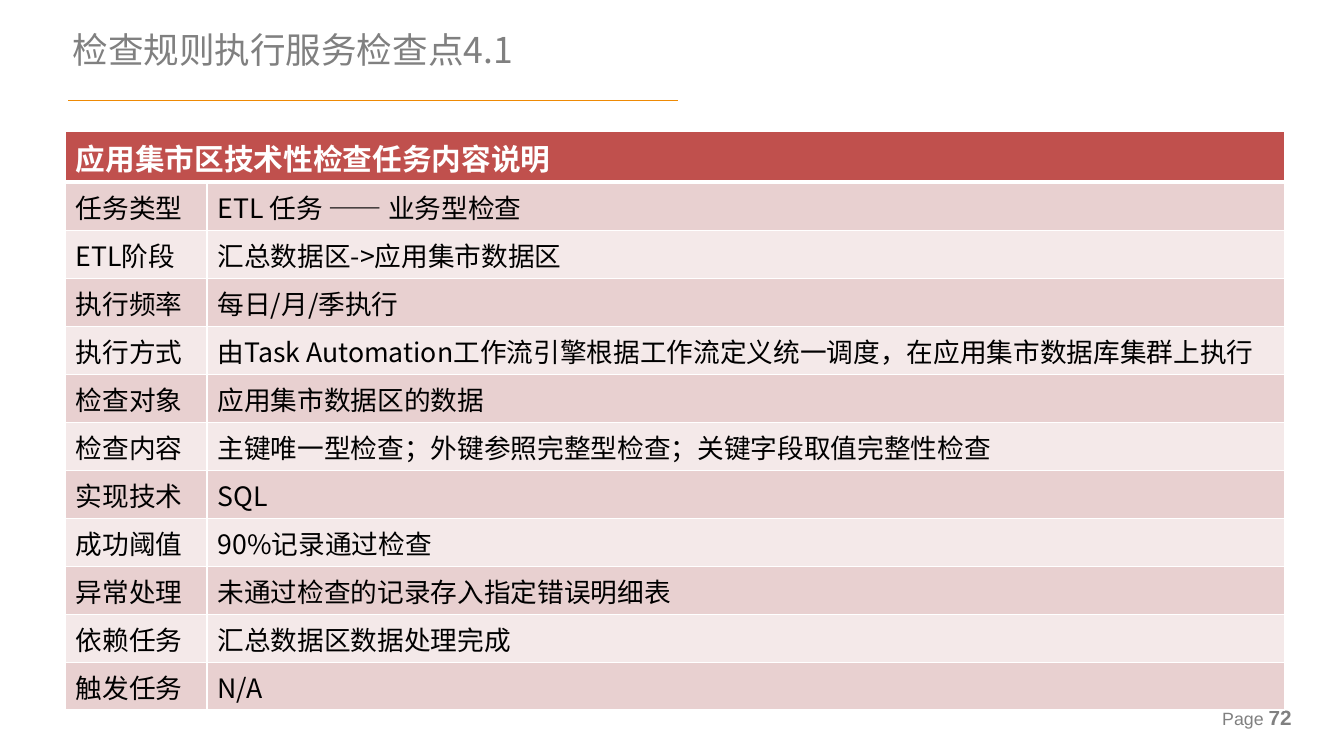
import pptx
import pptx.dml.color
import pptx.enum.shapes
import pptx.enum.text
import pptx.oxml
import pptx.oxml.ns
import pptx.util
from pptx.util import Inches

CJK = "Noto Sans CJK SC"
HEADER = "应用集市区技术性检查任务内容说明"
TASKS = [
    ("任务类型", "ETL 任务 —— 业务型检查"),
    ("ETL阶段", "汇总数据区->应用集市数据区"),
    ("执行频率", "每日/月/季执行"),
    ("执行方式", "由Task Automation工作流引擎根据工作流定义统一调度，在应用集市数据库集群上执行"),
    ("检查对象", "应用集市数据区的数据"),
    ("检查内容", "主键唯一型检查；外键参照完整型检查；关键字段取值完整性检查"),
    ("实现技术", "SQL"),
    ("成功阈值", "90%记录通过检查"),
    ("异常处理", "未通过检查的记录存入指定错误明细表"),
    ("依赖任务", "汇总数据区数据处理完成"),
    ("触发任务", "N/A"),
]


def rgb(value):
    """Return the colour for a hex string."""
    return pptx.dml.color.RGBColor.from_string(value)


def set_font(font, size, color, name, bold=False):
    """Set size, colour, typeface and weight of a font."""
    font.size = pptx.util.Pt(size)
    font.color.rgb = rgb(color)
    font.name = name
    font.bold = bold


def write(tf, text, size, color, bold=False):
    """Write one left-aligned Chinese paragraph, centred vertically."""
    tf.vertical_anchor = pptx.enum.text.MSO_ANCHOR.MIDDLE
    p = tf.paragraphs[0]
    p.text = text
    p.alignment = pptx.enum.text.PP_ALIGN.LEFT
    set_font(p.font, size, color, CJK, bold)
    latin = p._p.pPr.find(".//" + pptx.oxml.ns.qn("a:latin"))
    ns = pptx.oxml.ns.nsdecls("a")
    latin.addnext(pptx.oxml.parse_xml(f'<a:ea {ns} typeface="{CJK}"/>'))


def add_title(slide, text):
    """Place and fill the title placeholder."""
    sp = slide.shapes.title
    sp.left, sp.top, sp.width, sp.height = map(Inches, (0.58, 0.23, 9.18, 0.47))
    tf = sp.text_frame
    tf.auto_size = pptx.enum.text.MSO_AUTO_SIZE.NONE
    write(tf, text, 24, "808080")


def add_rule(slide, x1, x2, y, color):
    """Draw a thin horizontal line."""
    line = slide.shapes.add_connector(
        pptx.enum.shapes.MSO_CONNECTOR.STRAIGHT,
        Inches(x1), Inches(y), Inches(x2), Inches(y))
    line.line.color.rgb = rgb(color)
    line.line.width = pptx.util.Pt(0.75)
    ns = pptx.oxml.ns.nsdecls("a")
    line._element.spPr.append(pptx.oxml.parse_xml(f"<a:effectLst {ns}/>"))


def add_page_number(slide, number):
    """Write the page label at the lower right."""
    sp = slide.shapes.add_textbox(Inches(11.36), Inches(6.6), Inches(1.25), Inches(0.26))
    tf = sp.text_frame
    tf.word_wrap = True
    tf.vertical_anchor = pptx.enum.text.MSO_ANCHOR.MIDDLE
    p = tf.paragraphs[0]
    for text, size, bold in (("Page ", 12, False), (number, 14, True)):
        r = p.add_run()
        r.text = text
        set_font(r.font, size, "808080", "Arial", bold)


def style_cell(cell, fill, bottom=1):
    """Give a cell white borders and a solid fill."""
    tcPr = cell._tc.get_or_add_tcPr()
    ns = pptx.oxml.ns.nsdecls("a")
    for side, width in (("L", 1), ("R", 1), ("T", 1), ("B", bottom)):
        tcPr.append(pptx.oxml.parse_xml(
            f'<a:ln{side} {ns} w="{pptx.util.Pt(width)}"><a:solidFill>'
            f'<a:srgbClr val="FFFFFF"/></a:solidFill></a:ln{side}>'))
    cell.fill.solid()
    cell.fill.fore_color.rgb = rgb(fill)


def add_task_table(slide, header, tasks):
    """Add the table with a merged header and banded rows."""
    table = slide.shapes.add_table(
        len(tasks) + 1, 2, Inches(0.61), Inches(1.23), Inches(11.43), Inches(5.43)).table
    table.horz_banding = False
    table.columns[0].width, table.columns[1].width = Inches(1.33), Inches(10.1)
    table.rows[0].height = Inches(0.48)
    for cell in table.rows[0].cells:
        style_cell(cell, "C0504D", bottom=3)
    table.cell(0, 0).merge(table.cell(0, 1))
    title_cell = table.cell(0, 0)
    write(title_cell.text_frame, header, 20, "FFFFFF", bold=True)
    title_cell.vertical_anchor = pptx.enum.text.MSO_ANCHOR.MIDDLE
    for i, task in enumerate(tasks, 1):
        table.rows[i].height = Inches(0.45)
        for cell, text in zip(table.rows[i].cells, task):
            style_cell(cell, "E8D0D0" if i % 2 else "F4E9E9")
            write(cell.text_frame, text, 18, "000000")
            cell.vertical_anchor = pptx.enum.text.MSO_ANCHOR.MIDDLE


def main():
    """Build the slide and save it."""
    prs = pptx.Presentation()
    prs.slide_width, prs.slide_height = Inches(12.6), Inches(7.09)
    slide = prs.slides.add_slide(prs.slide_layouts[5])
    add_title(slide, "检查规则执行服务检查点4.1")
    add_rule(slide, 0.64, 6.36, 0.94, "EE8A04")
    add_page_number(slide, "72")
    add_task_table(slide, HEADER, TASKS)
    prs.save("out.pptx")


if __name__ == "__main__":
    main()
